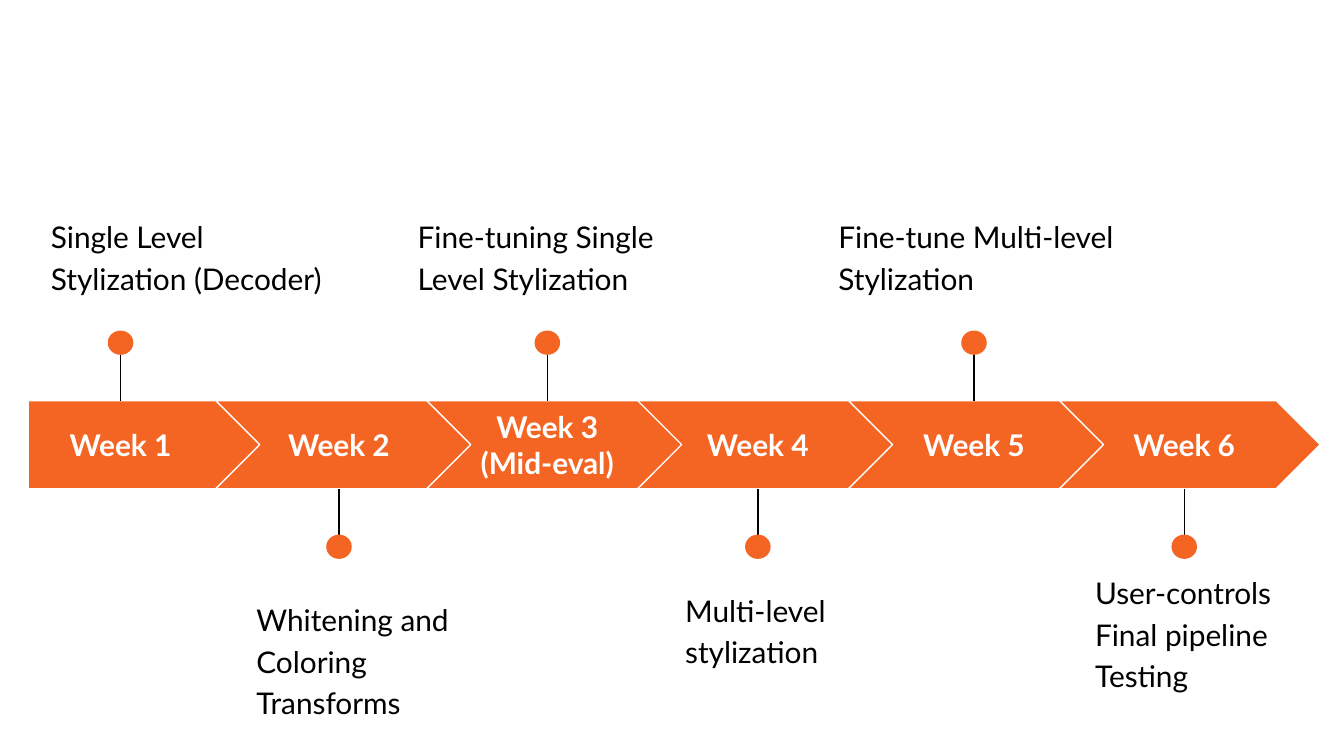
from lxml import etree
from pptx import Presentation
from pptx.dml.color import RGBColor
from pptx.enum.shapes import MSO_CONNECTOR, MSO_SHAPE
from pptx.enum.text import MSO_ANCHOR, PP_ALIGN
from pptx.oxml.ns import qn
from pptx.util import Pt

LINE = MSO_CONNECTOR.STRAIGHT
FIRST, NEXT, DOT = MSO_SHAPE.PENTAGON, MSO_SHAPE.CHEVRON, MSO_SHAPE.OVAL
MID, TOP = MSO_ANCHOR.MIDDLE, MSO_ANCHOR.TOP
CENTER, LEFT = PP_ALIGN.CENTER, PP_ALIGN.LEFT

ORANGE, WHITE, BLACK = "F46524", "FFFFFF", "000000"
FONT, SIZE = "Lato", 16

# label, pin x, note, note box
WEEKS = [
    ("Week 1", 64.6, "Single Level Stylization (Decoder)", (20.2, 107.3, 168.5, 75)),
    ("Week 2", 181.6, "Whitening and Coloring Transforms", (130.3, 312.5, 153.4, 57.6)),
    ("Week 3\n(Mid-eval)", 293.2, "Fine-tuning Single Level Stylization", (216.7, 107.3, 153.4, 57.6)),
    ("Week 4", 406, "Multi-level stylization", (360, 307.4, 153.4, 57.6)),
    ("Week 5", 521.8, "Fine-tune Multi-level Stylization", (442.1, 107.3, 179.3, 57.6)),
    ("Week 6", 634.4, "User-controls Final pipeline Testing", (579.6, 298.1, 127.4, 75)),
]

BAND_Y, BAND_H = 214.6, 47.2
HEAD_X, HEAD_W = 15.1, 127.4
STEP_X, STEP_W, STEP = 115.6, 139.7, 113
LABEL_Y, LABEL_W, LABEL_H = 223.2, 90, 29.5
PIN_H, DOT_W, DOT_H = 35, 13.7, 13


def color(code):
    return RGBColor.from_string(code)


def add_form(slide, kind, box, edge=None):
    form = slide.shapes.add_shape(kind, *map(Pt, box))
    form.shadow.inherit = False
    form.fill.solid()
    form.fill.fore_color.rgb = color(ORANGE)
    if edge:
        form.line.color.rgb = color(edge)
        form.line.width = Pt(0.75)
    else:
        form.line.fill.background()
    return form


def add_text(slide, text, box, ink, bold, align, anchor, space):
    frame = slide.shapes.add_textbox(*map(Pt, box)).text_frame
    frame.word_wrap = True
    frame.vertical_anchor = anchor
    frame.margin_left = frame.margin_right = Pt(7.2)
    frame.margin_top = frame.margin_bottom = Pt(7.2)
    frame.text = text
    for para in frame.paragraphs:
        para.alignment = align
        para.line_spacing = space
        for run in para.runs:
            run.font.name = FONT
            run.font.size = Pt(SIZE)
            run.font.bold = bold
            run.font.color.rgb = color(ink)


def add_pin(slide, x, above):
    if above:
        base, tip, dot_y = BAND_Y, BAND_Y - PIN_H, 177.1
    else:
        base = BAND_Y + BAND_H
        tip, dot_y = base + PIN_H, 286.4
    stem = slide.shapes.add_connector(LINE, Pt(x), Pt(tip), Pt(x), Pt(base))
    stem.line.color.rgb = color(BLACK)
    stem.line.width = Pt(0.75)
    etree.SubElement(stem._element.spPr, qn("a:effectLst"))
    add_form(slide, DOT, (x - DOT_W / 2, dot_y, DOT_W, DOT_H))


def main():
    deck = Presentation()
    deck.slide_width, deck.slide_height = Pt(720), Pt(405)
    slide = deck.slides.add_slide(deck.slide_layouts[6])
    for i, (label, x, note, box) in enumerate(WEEKS):
        if i == 0:
            kind, left, width = FIRST, HEAD_X, HEAD_W
        else:
            kind, left, width = NEXT, STEP_X + (i - 1) * STEP, STEP_W
        arrow = add_form(slide, kind, (left, BAND_Y, width, BAND_H), WHITE)
        arrow.adjustments[0] = 0.5
        spot = (x - LABEL_W / 2, LABEL_Y, LABEL_W, LABEL_H)
        add_text(slide, label, spot, WHITE, True, CENTER, MID, 1.0)
        add_pin(slide, x, i % 2 == 0)
        add_text(slide, note, box, BLACK, False, LEFT, TOP, 1.15)
    deck.save("out.pptx")


if __name__ == "__main__":
    main()
